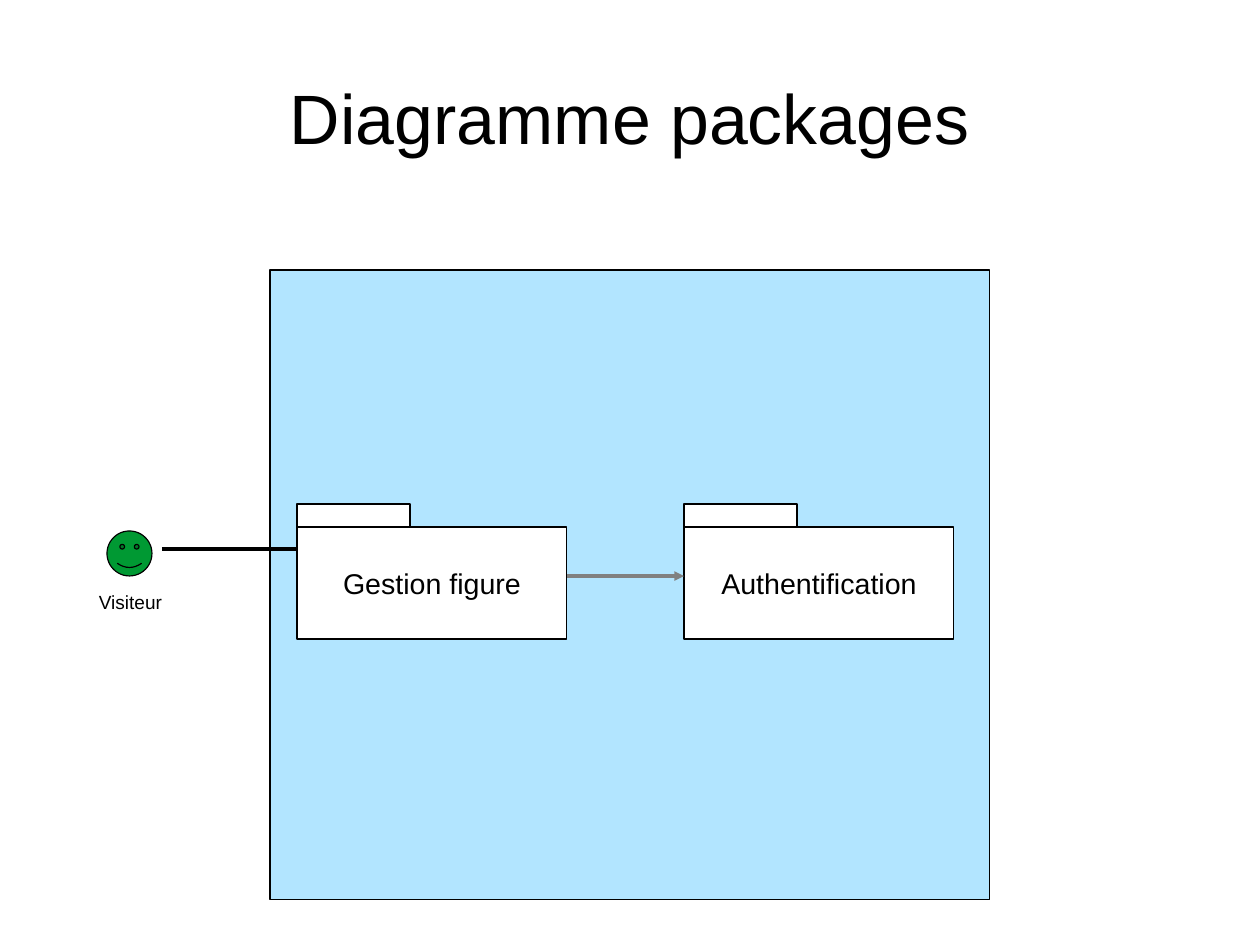
from dataclasses import dataclass

from lxml import etree
from pptx import Presentation
from pptx.dml.color import RGBColor
from pptx.enum import shapes, text
from pptx.oxml import ns

# Content, lengths in px
SLIDE = (1260, 945)
TITLE = ("Diagramme packages", (63, 38, 1134, 158))
SYSTEM = (270, 270, 720, 630)
ACTOR = ("Visiteur", (107, 531, 45, 45), (63, 585, 135, 54))
PACKAGES = [("Gestion figure", 297), ("Authentification", 684)]
BODY_TOP, BODY_WIDTH, BODY_HEIGHT = 527, 270, 112
TAB_WIDTH, TAB_HEIGHT = 113, 23
ACTOR_LINK = (162, 549)
DEPENDENCY_Y = 576

PX = 8000
PT = 12700


@dataclass(frozen=True)
class Theme:
    font: str = "Arial"
    ink: str = "000000"
    paper: str = "FFFFFF"
    system: str = "66CCFF"
    actor: str = "009933"
    dependency: str = "808080"
    title_size: int = 44
    package_size: int = 18
    actor_size: int = 12


THEME = Theme()


def px(*lengths):
    return [length * PX for length in lengths]


def write(shape, words, size, wrap=True, anchor=text.MSO_ANCHOR.MIDDLE,
          margins=(11, 6), fit=text.MSO_AUTO_SIZE.NONE):
    frame = shape.text_frame
    frame.word_wrap = wrap
    frame.auto_size = fit
    frame.vertical_anchor = anchor
    frame.margin_left = frame.margin_right = margins[0] * PX
    frame.margin_top = frame.margin_bottom = margins[1] * PX
    paragraph = frame.paragraphs[0]
    paragraph.alignment = text.PP_ALIGN.CENTER
    run = paragraph.add_run()
    run.text = words
    run.font.name = THEME.font
    run.font.size = size * PT
    run.font.color.rgb = RGBColor.from_string(THEME.ink)


def draw(slide, kind, box, fill):
    shape = slide.shapes.add_shape(kind, *px(*box))
    shape.shadow.inherit = False
    shape.fill.solid()
    shape.fill.fore_color.rgb = RGBColor.from_string(fill)
    shape.line.color.rgb = RGBColor.from_string(THEME.ink)
    shape.line.width = 0
    return shape


def link(slide, start, end, color, arrow=False):
    line = slide.shapes.add_connector(shapes.MSO_CONNECTOR.STRAIGHT, *px(*start, *end))
    line.line.color.rgb = RGBColor.from_string(color)
    line.line.width = 0
    if arrow:
        etree.SubElement(line.line._get_or_add_ln(), ns.qn("a:tailEnd"), type="triangle")
    etree.SubElement(line._element.spPr, ns.qn("a:effectLst"))


def main():
    deck = Presentation()
    deck.slide_width, deck.slide_height = px(*SLIDE)
    slide = deck.slides.add_slide(deck.slide_layouts[5])
    rectangle = shapes.MSO_SHAPE.RECTANGLE
    grow = text.MSO_AUTO_SIZE.SHAPE_TO_FIT_TEXT

    # Title
    words, box = TITLE
    title = slide.shapes.title
    title.left, title.top, title.width, title.height = px(*box)
    write(title, words, THEME.title_size, margins=(0, 0), fit=grow)

    # Actor and system
    visitor, face_box, label_box = ACTOR
    face = draw(slide, shapes.MSO_SHAPE.SMILEY_FACE, face_box, THEME.actor)
    face.adjustments[0] = 0.09
    system = draw(slide, rectangle, SYSTEM, THEME.system)
    tint = system.fill._xPr.find(".//" + ns.qn("a:srgbClr"))
    etree.SubElement(tint, ns.qn("a:alpha"), val="50000")
    label = slide.shapes.add_textbox(*px(*label_box))
    write(label, visitor, THEME.actor_size, anchor=text.MSO_ANCHOR.TOP, fit=grow)

    # Packages
    for name, left in PACKAGES:
        body = draw(slide, rectangle, (left, BODY_TOP, BODY_WIDTH, BODY_HEIGHT), THEME.paper)
        write(body, name, THEME.package_size, wrap=False)
        draw(slide, rectangle, (left, BODY_TOP - TAB_HEIGHT, TAB_WIDTH, TAB_HEIGHT), THEME.paper)

    # Links
    figure_left, login_left = [left for _, left in PACKAGES]
    link(slide, (figure_left + BODY_WIDTH, DEPENDENCY_Y), (login_left, DEPENDENCY_Y),
         THEME.dependency, arrow=True)
    link(slide, ACTOR_LINK, (figure_left, ACTOR_LINK[1]), THEME.ink)

    deck.save("out.pptx")


if __name__ == "__main__":
    main()
